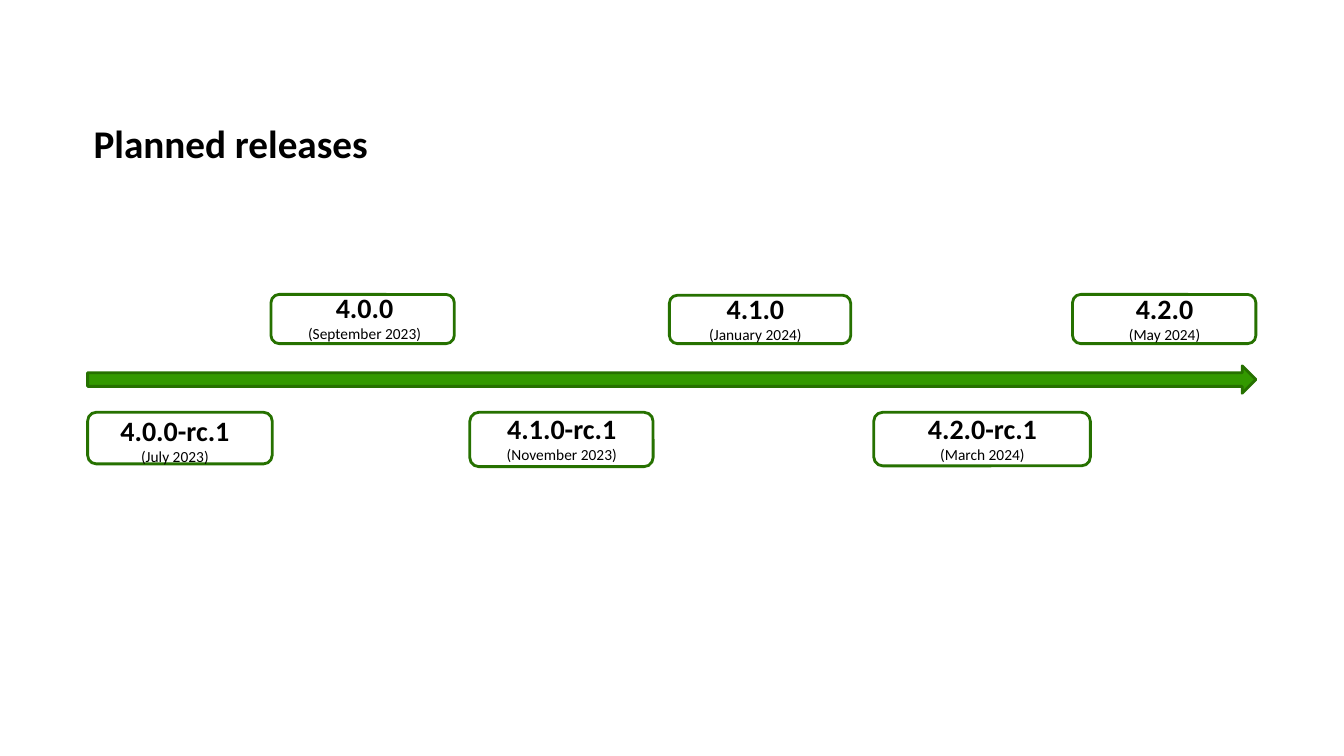
"""Build the planned releases timeline slide."""
from pptx import Presentation
from pptx.dml.color import RGBColor
from pptx.enum.shapes import MSO_SHAPE
from pptx.enum.text import MSO_ANCHOR, PP_ALIGN
from pptx.util import Cm, Pt

ROUNDED, ARROW = MSO_SHAPE.ROUNDED_RECTANGLE, MSO_SHAPE.RIGHT_ARROW
TOP, BOTTOM = MSO_ANCHOR.TOP, MSO_ANCHOR.BOTTOM
LEFT, CENTER = PP_ALIGN.LEFT, PP_ALIGN.CENTER
BLACK = RGBColor(0x00, 0x00, 0x00)
GREEN = RGBColor(0x33, 0x99, 0x00)
DARK_GREEN = RGBColor(0x26, 0x71, 0x00)

TITLE = "Planned releases"
TITLE_BOX = (2.36, 0.53, 29.16, 3.69)
TIMELINE_BOX = (2.21, 9.22, 29.44, 0.69)
LABEL_SIZE = (6.43, 1.47)

# version, date, frame box, label position
RELEASES = [
    ("4.0.0-rc.1", "(July 2023)", (2.21, 10.39, 4.65, 1.3), (1.32, 10.29)),
    ("4.0.0", "(September 2023)", (6.83, 7.42, 4.62, 1.24), (6.1, 7.19)),
    ("4.1.0-rc.1", "(November 2023)", (11.84, 10.39, 4.62, 1.37), (11.07, 10.24)),
    ("4.1.0", "(January 2024)", (16.87, 7.44, 4.57, 1.22), (15.95, 7.21)),
    ("4.2.0-rc.1", "(March 2024)", (22.02, 10.39, 5.46, 1.35), (21.67, 10.24)),
    ("4.2.0", "(May 2024)", (27.03, 7.42, 4.62, 1.24), (26.26, 7.21)),
]

FONT = {"name": "Calibri"}
TITLE_FONT = FONT | {"size": Pt(28), "bold": True}
VERSION_FONT = FONT | {"size": Pt(20), "bold": True}
DATE_FONT = FONT | {"size": Pt(11), "bold": False}
TITLE_FRAME = {"margin_left": 0, "margin_right": 0, "margin_top": Cm(0.13),
               "margin_bottom": 0, "vertical_anchor": BOTTOM, "word_wrap": True}
LABEL_FRAME = {"margin_left": 0, "margin_right": Cm(0.25), "margin_top": Cm(0.13),
               "margin_bottom": Cm(0.13), "vertical_anchor": TOP, "word_wrap": True}


def apply(obj, values):
    """Set each named attribute on an object."""
    for name, value in values.items():
        setattr(obj, name, value)


def lengths(box):
    """Convert centimetre values to lengths."""
    return [Cm(v) for v in box]


def write(p, text, font, align):
    """Put one formatted run in a paragraph."""
    p.alignment = align
    r = p.add_run()
    r.text = text
    apply(r.font, font)
    r.font.color.rgb = BLACK


def add_outlined(s, kind, box, fill=None):
    """Add a shape with the dark green outline."""
    sp = s.shapes.add_shape(kind, *lengths(box))
    sp.shadow.inherit = False
    if fill is None:
        sp.fill.background()
    else:
        sp.fill.solid()
        sp.fill.fore_color.rgb = fill
    sp.line.color.rgb = DARK_GREEN
    sp.line.width = Pt(2)


def add_label(s, version, date, position):
    """Add a version with its date below."""
    tf = s.shapes.add_textbox(*lengths(position + LABEL_SIZE)).text_frame
    apply(tf, LABEL_FRAME)
    write(tf.paragraphs[0], version, VERSION_FONT, CENTER)
    write(tf.add_paragraph(), date, DATE_FONT, CENTER)


def main():
    """Create and save the slide."""
    prs = Presentation()
    prs.slide_width, prs.slide_height = Cm(33.87), Cm(19.05)
    s = prs.slides.add_slide(prs.slide_layouts[5])

    title = s.shapes.title
    apply(title, dict(zip(("left", "top", "width", "height"), lengths(TITLE_BOX))))
    apply(title.text_frame, TITLE_FRAME)
    p = title.text_frame.paragraphs[0]
    p.line_spacing = 0.9
    write(p, TITLE, TITLE_FONT, LEFT)

    add_outlined(s, ARROW, TIMELINE_BOX, GREEN)
    for version, date, frame, position in RELEASES:
        add_outlined(s, ROUNDED, frame)
        add_label(s, version, date, position)

    prs.save("out.pptx")


if __name__ == "__main__":
    main()
